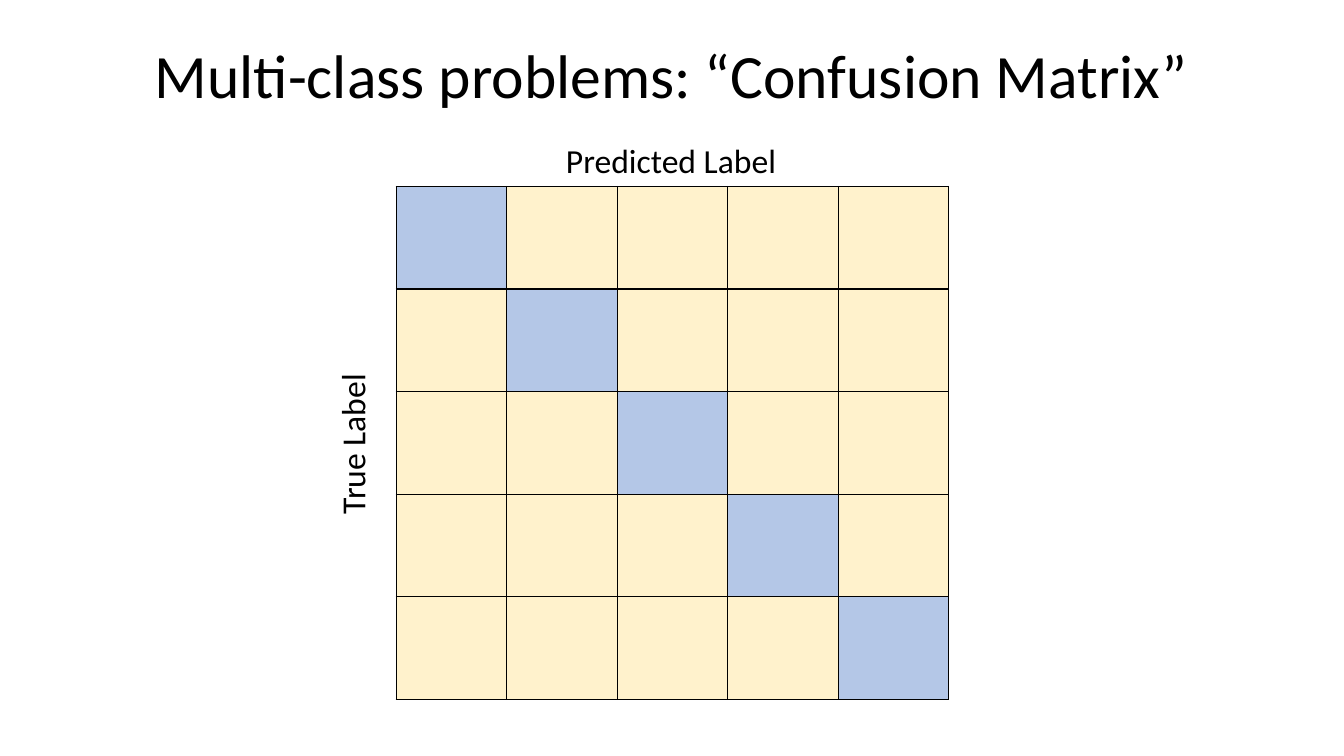
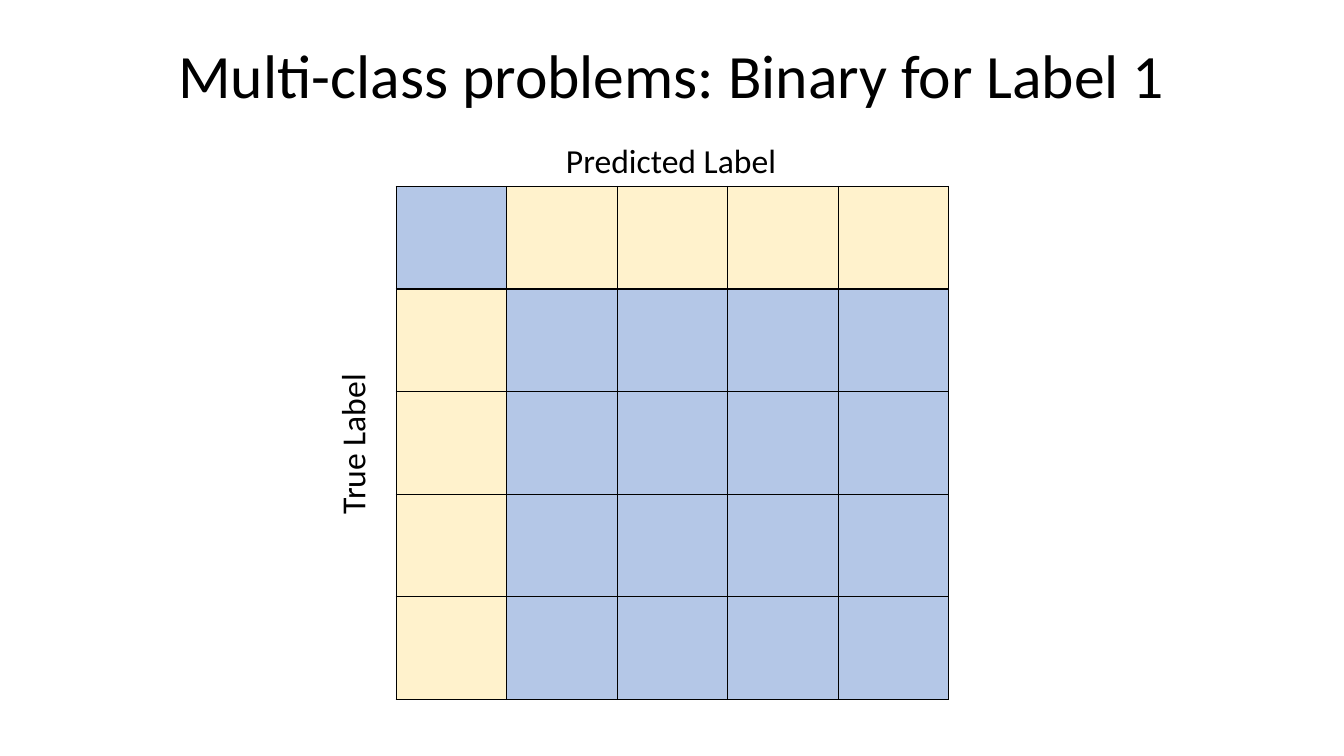
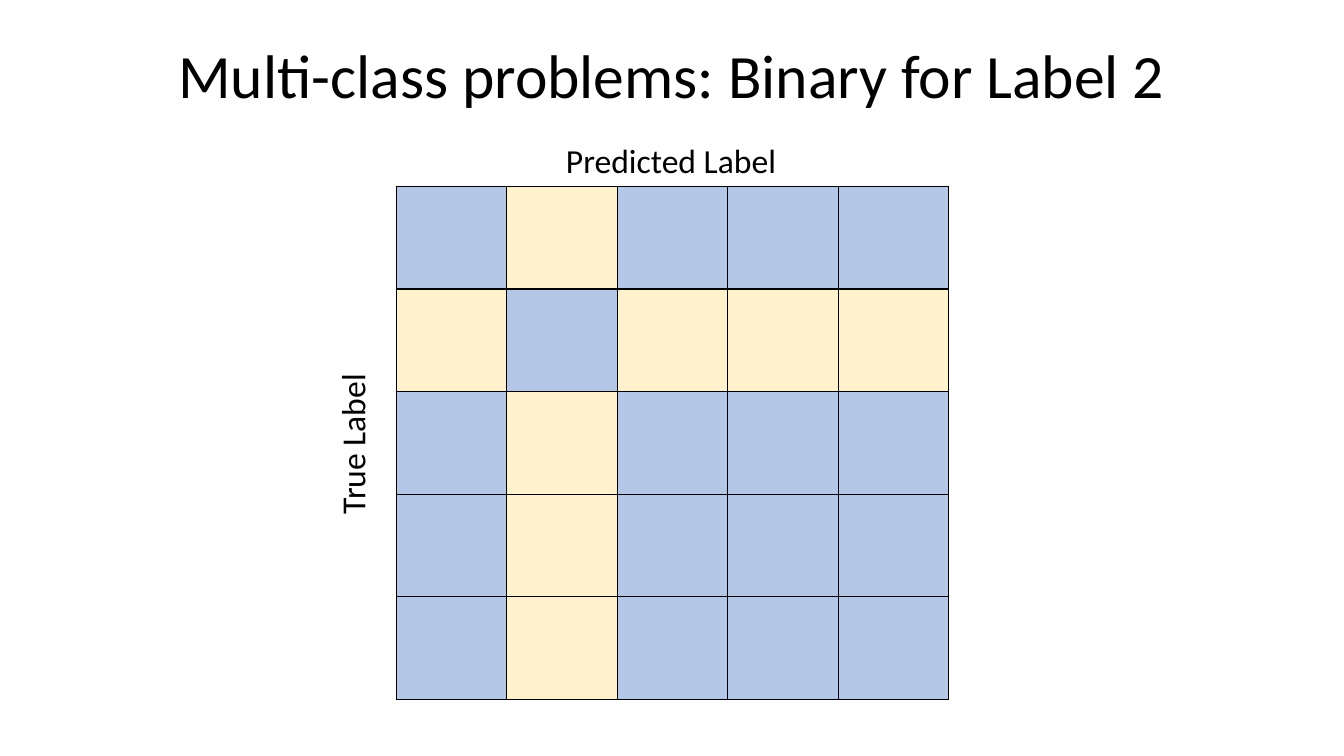
import pptx
import pptx.util
import pptx.dml.color
import pptx.enum.text
import pptx.oxml
import pptx.oxml.ns

WIDE, HIGH = 13.33, 7.5
COUNT = 5
INK, BLUE, CREAM = "000000", "B4C7E7", "FFF2CC"
FACE = "Calibri"
GRID = (3.93, 1.85, 5.48, 5.09)
inch = pptx.util.Inches


def paint(item, hue):
    color = pptx.dml.color.RGBColor.from_string(hue)
    if hasattr(item, "solid"):
        item.solid()
        item.fore_color.rgb = color
    else:
        item.color.rgb = color


def style(para, size):
    para.font.name = FACE
    para.font.size = pptx.util.Pt(size)
    paint(para.font, INK)


def head(slide, text, inset):
    title = slide.shapes.title
    title.left, title.top = inch(inset), inch(0.4)
    title.width, title.height = inch(WIDE - 2 * inset), inch(1.45)
    frame = title.text_frame
    frame.text = text
    frame.auto_size = pptx.enum.text.MSO_AUTO_SIZE.NONE
    frame.vertical_anchor = pptx.enum.text.MSO_ANCHOR.TOP
    para = frame.paragraphs[0]
    para.alignment = pptx.enum.text.PP_ALIGN.CENTER
    para.line_spacing = 0.9
    style(para, 44)


def label(slide, text, mid_x, mid_y, width, turn=0):
    height = 0.5
    box = slide.shapes.add_textbox(
        inch(mid_x - width / 2), inch(mid_y - height / 2), inch(width), inch(height))
    box.rotation = turn
    frame = box.text_frame
    frame.text = text
    frame.word_wrap = False
    frame.auto_size = pptx.enum.text.MSO_AUTO_SIZE.SHAPE_TO_FIT_TEXT
    style(frame.paragraphs[0], 24)


def border(cell):
    props = cell._tc.get_or_add_tcPr()
    space = pptx.oxml.ns.nsdecls("a")
    for side in "LRTB":
        props.append(pptx.oxml.parse_xml(
            f'<a:ln{side} {space} w="12700"><a:solidFill>'
            f'<a:srgbClr val="{INK}"/></a:solidFill></a:ln{side}>'))


def matrix(slide, box, is_blue):
    left, top, width, height = box
    table = slide.shapes.add_table(COUNT, COUNT, *map(inch, box)).table
    table.first_row = table.horz_banding = False
    for row in range(COUNT):
        for col in range(COUNT):
            cell = table.cell(row, col)
            border(cell)
            paint(cell.fill, BLUE if is_blue(row, col) else CREAM)
    label(slide, "Predicted Label", left + width / 2, top - 0.26, 2.31)
    label(slide, "True Label", left - 0.44, top + height / 2, 1.61, 270)


def same(row, col):
    return row == col


def binary(pick):
    return lambda row, col: (row == pick) == (col == pick)


def main():
    deck = pptx.Presentation()
    deck.slide_width, deck.slide_height = inch(WIDE), inch(HIGH)
    pages = [
        ("“Confusion Matrix”", 0.92, same),
        ("Binary for Label 1", 0, binary(0)),
        ("Binary for Label 2", 0.92, binary(1)),
    ]
    for topic, inset, is_blue in pages:
        slide = deck.slides.add_slide(deck.slide_layouts[5])
        head(slide, f"Multi-class problems: {topic}", inset)
        matrix(slide, GRID, is_blue)
    deck.save("out.pptx")


if __name__ == "__main__":
    main()
